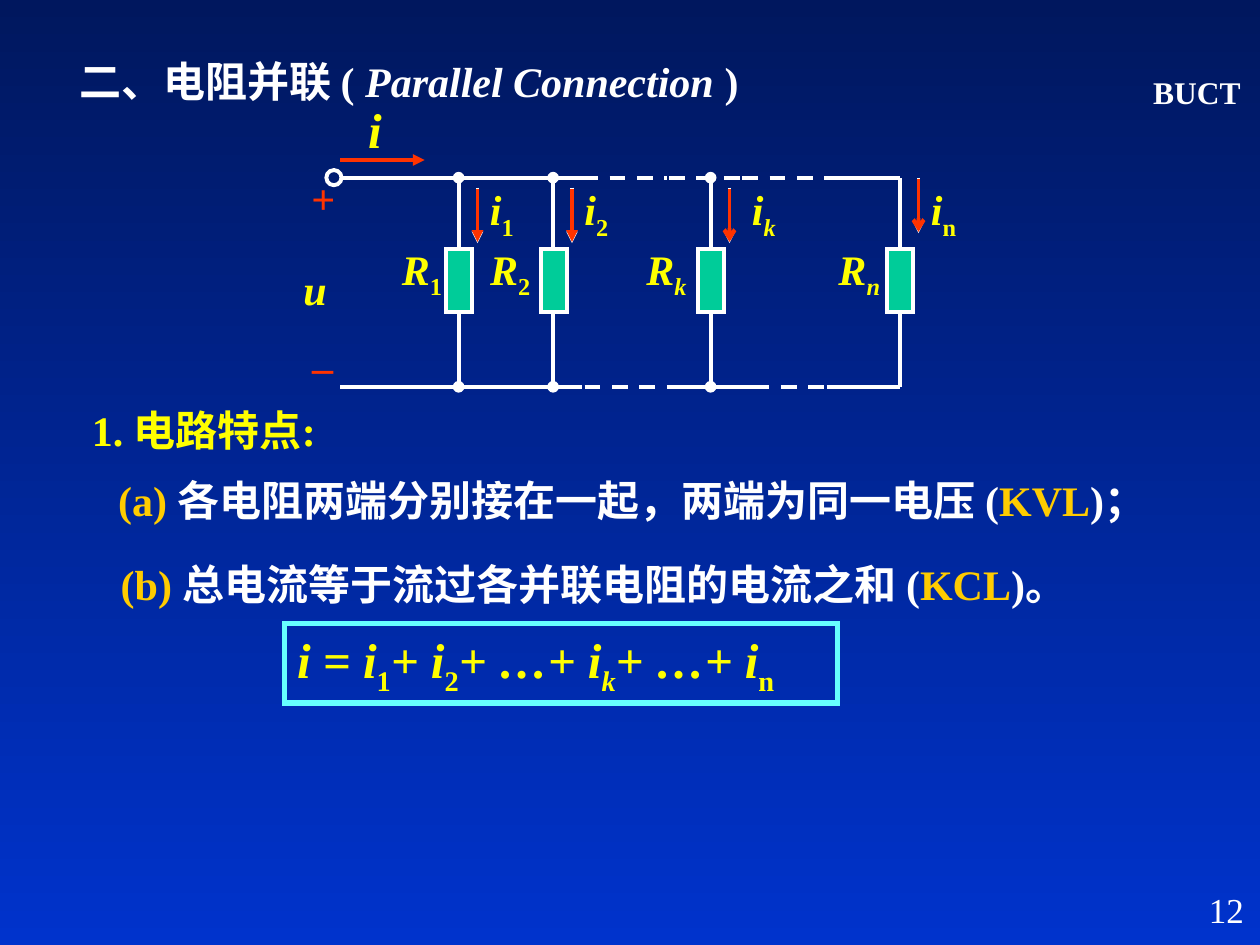
from dataclasses import dataclass

import pptx
import pptx.dml.color
import pptx.enum.dml
import pptx.enum.shapes
import pptx.enum.text
import pptx.oxml.ns
import pptx.util
from lxml import etree

Inches, Pt = pptx.util.Inches, pptx.util.Pt
RGBColor = pptx.dml.color.RGBColor
SHAPE = pptx.enum.shapes.MSO_SHAPE
ALIGN = pptx.enum.text.PP_ALIGN
ANCHOR = pptx.enum.text.MSO_ANCHOR
qn = pptx.oxml.ns.qn

NIGHT = RGBColor(0x00, 0x17, 0x5E)
BLUE = RGBColor(0x00, 0x33, 0xCC)
WHITE = RGBColor(0xFF, 0xFF, 0xFF)
YELLOW = RGBColor(0xFF, 0xFF, 0x00)
GOLD = RGBColor(0xFF, 0xCC, 0x00)
RED = RGBColor(0xFF, 0x33, 0x00)
GREEN = RGBColor(0x00, 0xCC, 0x99)
CYAN = RGBColor(0x66, 0xFF, 0xFF)

FONT = "Times New Roman"
WIRE = 2.25
TOP, BOTTOM = 1.41, 3.07


@dataclass
class Run:
    text: str
    color: RGBColor = YELLOW
    italic: bool = False
    sub: bool = False


@dataclass
class Branch:
    x: float
    index: str
    resistor_left: float
    current_left: float
    arrow_top: float = 1.49
    arrow_head: str = "triangle"
    italic_current: bool = False
    italic_resistor: bool = False
    nodes: bool = True


def write(frame, runs: list[Run], size: float = 24, bold: bool = True,
          align=ALIGN.LEFT, anchor=ANCHOR.TOP, wrap: bool = True) -> None:
    frame.word_wrap = wrap
    frame.vertical_anchor = anchor
    paragraph = frame.paragraphs[0]
    paragraph.alignment = align
    for item in runs:
        run = paragraph.add_run()
        run.text = item.text
        style = {"name": FONT, "size": Pt(size), "bold": bold, "italic": item.italic}
        for key, value in style.items():
            setattr(run.font, key, value)
        run.font.color.rgb = item.color
        if item.sub:
            run._r.get_or_add_rPr().set("baseline", "-25000")


def add_text(slide, left: float, top: float, width: float, height: float,
             runs: list[Run], **layout) -> None:
    box = slide.shapes.add_textbox(Inches(left), Inches(top), Inches(width), Inches(height))
    write(box.text_frame, runs, **layout)


def add_label(slide, left: float, top: float, width: float, height: float,
              runs: list[Run], size: float = 24) -> None:
    add_text(slide, left, top, width, height, runs, size=size,
             align=ALIGN.CENTER, anchor=ANCHOR.MIDDLE, wrap=False)


def add_shape(slide, kind, left: float, top: float, width: float, height: float,
              line: RGBColor, fill=None, weight: float = WIRE):
    shape = slide.shapes.add_shape(kind, Inches(left), Inches(top), Inches(width), Inches(height))
    shape.shadow.inherit = False
    if fill is None:
        shape.fill.background()
    else:
        shape.fill.solid()
        shape.fill.fore_color.rgb = fill
    shape.line.color.rgb = line
    shape.line.width = Pt(weight)
    etree.SubElement(shape.line._get_or_add_ln(), qn("a:miter")).set("lim", "800000")
    return shape


def add_line(slide, x1: float, y1: float, x2: float, y2: float, color: RGBColor = WHITE,
             dashed: bool = False, head: str = "", tail: str = "") -> None:
    line = slide.shapes.add_connector(pptx.enum.shapes.MSO_CONNECTOR.STRAIGHT,
                                      Inches(x1), Inches(y1), Inches(x2), Inches(y2))
    line.line.color.rgb = color
    line.line.width = Pt(WIRE)
    if dashed:
        line.line.dash_style = pptx.enum.dml.MSO_LINE.DASH
    outline = line.line._get_or_add_ln()
    for tag, end in (("a:headEnd", head), ("a:tailEnd", tail)):
        if end:
            etree.SubElement(outline, qn(tag)).set("type", end)
    etree.SubElement(line._element.spPr, qn("a:effectLst"))


def add_branch(slide, branch: Branch) -> None:
    node = "oval" if branch.nodes else ""
    add_line(slide, branch.x, BOTTOM, branch.x, TOP, head=node, tail=node)
    add_shape(slide, SHAPE.RECTANGLE, branch.x - 0.1, 1.98, 0.21, 0.5, WHITE, GREEN)
    add_label(slide, branch.resistor_left, 1.88, 0.6, 0.56,
              [Run("R", italic=True), Run(branch.index, italic=branch.italic_resistor, sub=True)])

    # Branch current: red arrow over a white one
    arrow_x, top = branch.x + 0.15, branch.arrow_top
    add_line(slide, arrow_x, top, arrow_x, top + 0.44, tail="stealth")
    add_line(slide, arrow_x, top + 0.01, arrow_x, top + 0.43, RED, tail=branch.arrow_head)
    add_text(slide, branch.current_left, 1.41, 0.56, 0.56,
             [Run("i", italic=True), Run(branch.index, italic=branch.italic_current, sub=True)])


def add_circuit(slide) -> None:
    # Rails: y, start, end, dashed
    rails = [
        (TOP, 2.7, 4.62, False), (TOP, 4.62, 5.29, True), (TOP, 5.31, 5.98, True),
        (TOP, 5.89, 6.56, True), (TOP, 6.56, 7.14, False),
        (BOTTOM, 2.7, 4.62, False), (BOTTOM, 4.64, 5.31, True), (BOTTOM, 5.31, 5.98, False),
        (BOTTOM, 5.98, 6.64, True), (BOTTOM, 6.56, 7.14, False),
    ]
    for y, start, end, dashed in rails:
        add_line(slide, start, y, end, y, dashed=dashed)

    branches = [
        Branch(3.64, "1", 3.05, 3.79),
        Branch(4.39, "2", 3.75, 4.54),
        Branch(5.64, "k", 4.99, 5.87, arrow_head="arrow",
               italic_current=True, italic_resistor=True),
        Branch(7.14, "n", 6.52, 7.29, arrow_top=1.41, arrow_head="arrow",
               italic_resistor=True, nodes=False),
    ]
    for branch in branches:
        add_branch(slide, branch)

    # Source side: terminal, total current and voltage
    add_shape(slide, SHAPE.OVAL, 2.59, 1.35, 0.12, 0.12, WHITE)
    add_line(slide, 2.7, 1.27, 3.37, 1.27, RED, tail="triangle")
    add_label(slide, 2.82, 0.74, 0.31, 0.57, [Run("i", italic=True)], size=28)
    add_label(slide, 2.37, 1.32, 0.39, 0.5, [Run("+", RED)])
    add_label(slide, 2.31, 2.04, 0.38, 0.5, [Run("u", italic=True)])
    add_text(slide, 2.38, 2.54, 0.36, 0.5, [Run("_", RED)], wrap=False)


def main() -> None:
    deck = pptx.Presentation()
    deck.slide_width, deck.slide_height = Inches(10), Inches(7.5)
    slide = deck.slides.add_slide(deck.slide_layouts[6])

    # Background
    backdrop = slide.background.fill
    backdrop.gradient()
    backdrop.gradient_angle = 270
    for stop, color in zip(backdrop.gradient_stops, (NIGHT, BLUE)):
        stop.color.rgb = color

    # School name
    add_label(slide, 9, 0.54, 1, 0.38, [Run("BUCT", WHITE)], size=18)

    # Heading and circuit
    add_text(slide, 0.53, 0.39, 7.17, 0.5,
             [Run("二、电阻并联 ( ", WHITE), Run("Parallel Connection ", WHITE, italic=True),
              Run(")", WHITE)])
    add_circuit(slide)

    # Circuit properties
    add_text(slide, 0.63, 3.16, 2.25, 0.5, [Run("1. 电路特点:")])
    properties = [
        (0.84, 3.72, "(a) ", "各电阻两端分别接在一起，两端为同一电压 (", "KVL", ")；"),
        (0.86, 4.38, "(b) ", "总电流等于流过各并联电阻的电流之和 (", "KCL", ")。"),
    ]
    for left, top, mark, statement, law, ending in properties:
        add_text(slide, left, top, 8.83, 0.5,
                 [Run(mark, GOLD), Run(statement, WHITE), Run(law, GOLD), Run(ending, WHITE)])

    # Current sum
    current_sum = add_shape(slide, SHAPE.RECTANGLE, 2.26, 4.95, 4.39, 0.63, CYAN, weight=3)
    terms = [("i = i", "1", False), ("+ i", "2", False), ("+ …+ i", "k", True),
             ("+ …+ i", "n", False)]
    write(current_sum.text_frame,
          [run for text, index, italic in terms
           for run in (Run(text, italic=True), Run(index, italic=italic, sub=True))], size=28)

    # Page number
    add_text(slide, 7.89, 7, 2.08, 0.5, [Run("12", WHITE)], size=20, bold=False,
             align=ALIGN.RIGHT)

    deck.save("out.pptx")


if __name__ == "__main__":
    main()
